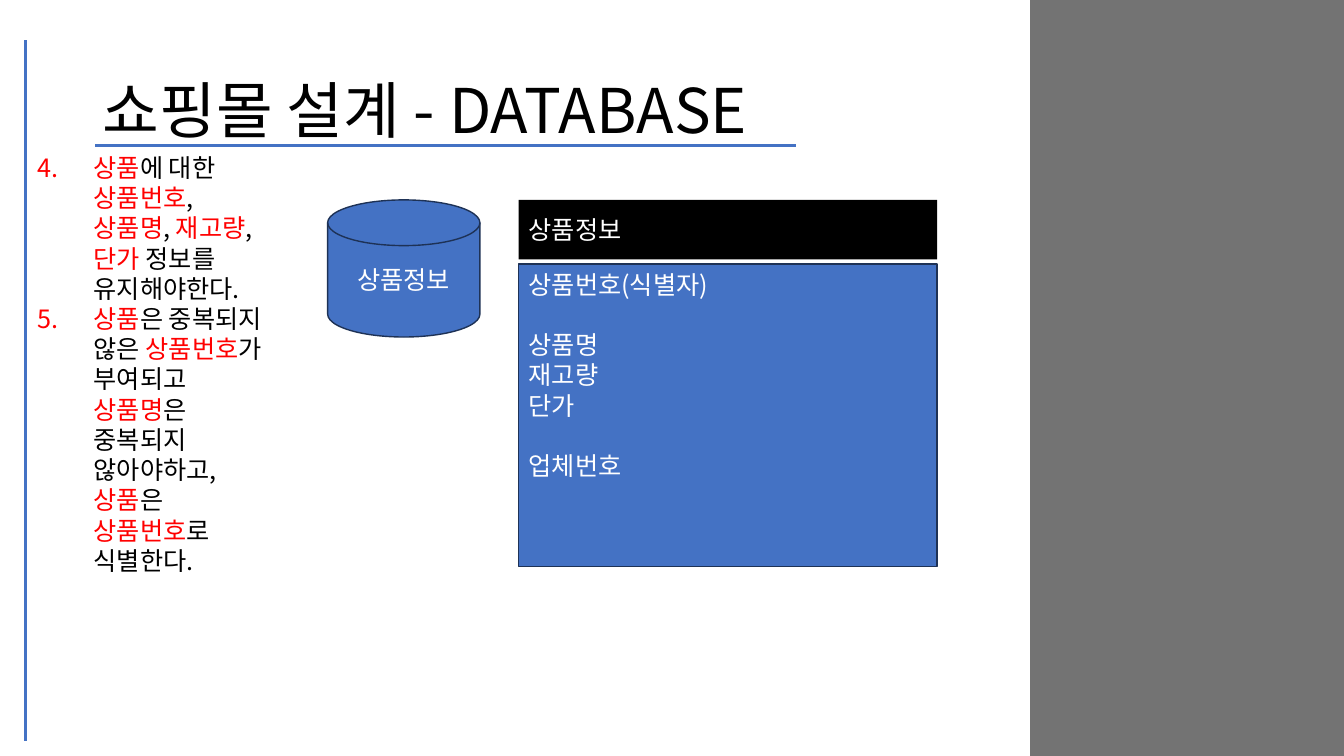
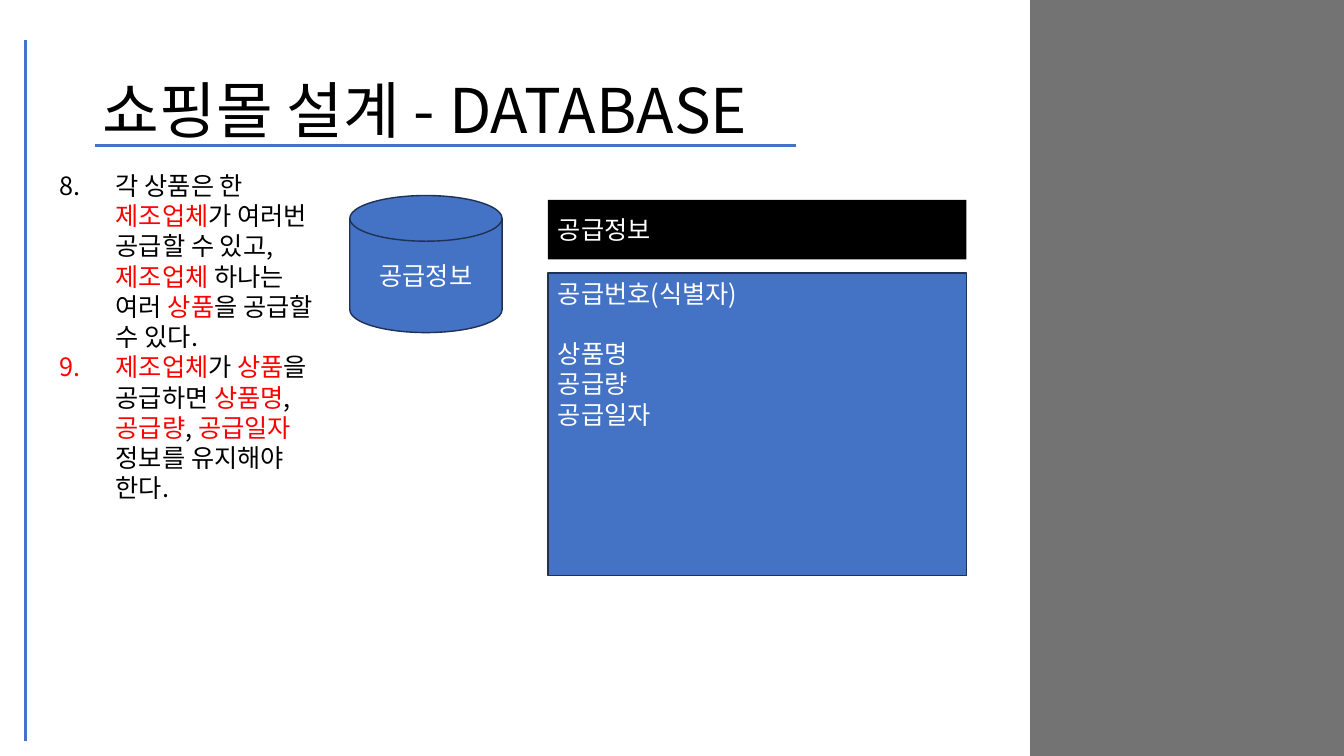
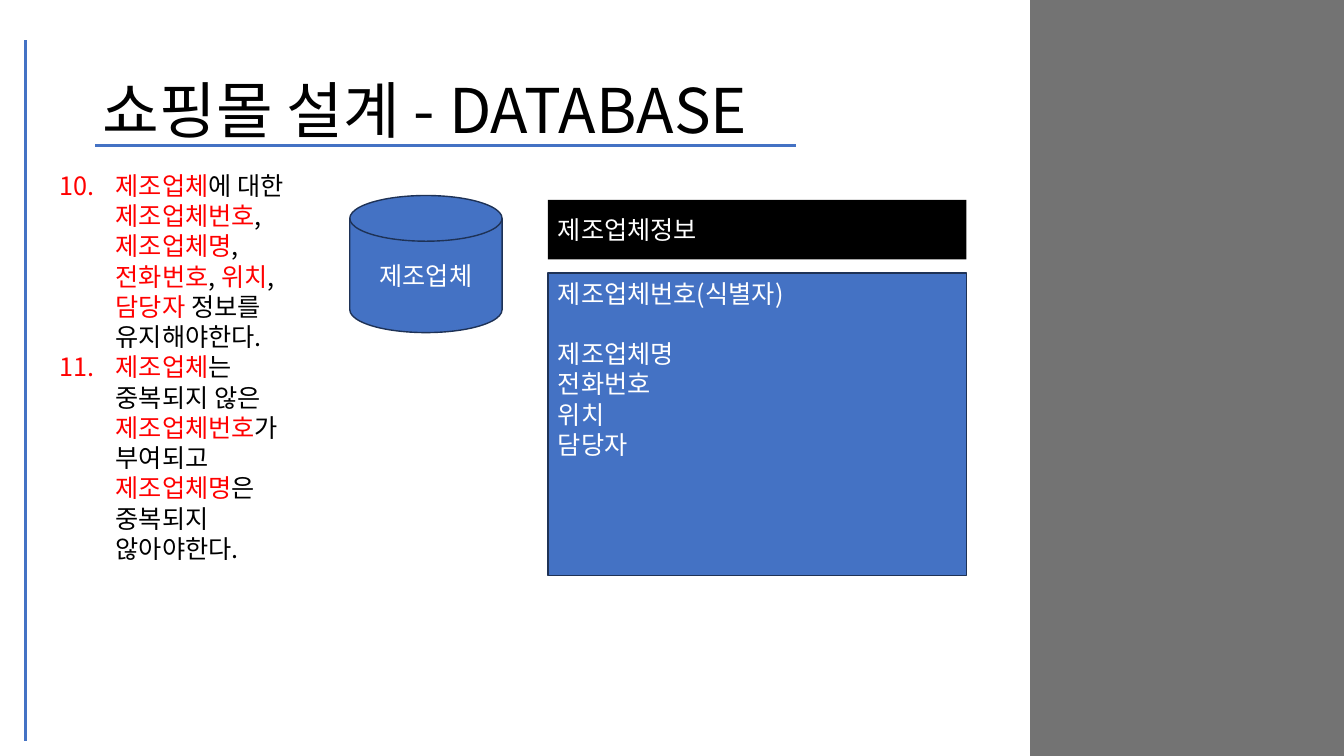
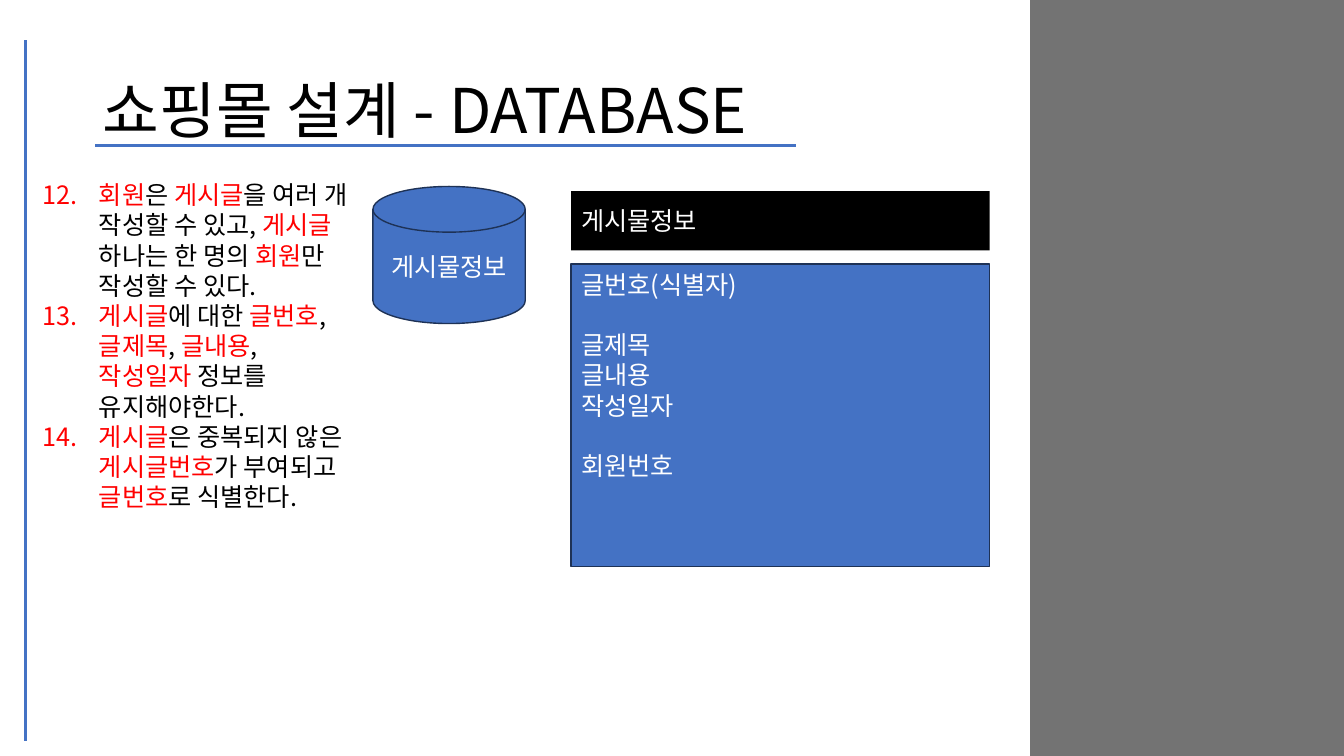
from pptx import Presentation
from pptx.dml.color import RGBColor
from pptx.enum.shapes import MSO_CONNECTOR, MSO_SHAPE
from pptx.enum.text import MSO_ANCHOR, MSO_AUTO_SIZE, PP_ALIGN
from pptx.oxml.ns import qn
from pptx.util import Inches, Pt
from lxml.etree import SubElement

# Shared look
COLORS = {"blue": "4472C4", "edge": "1E3256", "grey": "737373",
          "black": "000000", "white": "FFFFFF", "red": "FF0000"}
FONT = "Noto Sans CJK KR"
TITLE = "쇼핑몰 설계 - DATABASE"
PITCH = Pt(21.6)
INDENT = Inches(0.56)

# Places are percentages of the slide's width and height
BAND = (76.65, 0, 23.35, 100)
RULES = [(1.88, 5.33, 1.88, 98), (59.22, 19.2, 7.05, 19.2)]
TITLE_BOX = (6.9, 5.33, 86.25, 19.33)
DISK_SIZE = (11.33, 18.13)
HEADER_SIZE = (31.13, 7.87)
FIELDS_SIZE = (31.13, 40)

# One entry per slide; *stars* mark red words in the rules
SLIDES = [
    {"list_box": (2.03, 19.47, 18.38, 53.87), "start": 4,
     "rules": ["*상품*에 대한 *상품번호*, *상품명*, *재고량*, *단가* 정보를 유지해야한다.",
               "*상품*은 중복되지 않은 *상품번호*가 부여되고 *상품명*은 중복되지 않아야하고, "
               "*상품*은 *상품번호*로 식별한다."],
     "disk": (24.38, 26.45), "entity": "상품정보",
     "header": (38.6, 26.45), "table": "상품정보", "fields_top": 34.93,
     "groups": [["상품번호(식별자)"], ["상품명", "재고량", "단가"], ["업체번호"]]},
    {"list_box": (3.68, 21.87, 20.48, 45.73), "start": 8,
     "rules": ["각 상품은 한 *제조업체*가 여러번 공급할 수 있고, *제조업체* 하나는 여러 *상품*을 공급할 수 있다.",
               "*제조업체*가 *상품*을 공급하면 *상품명*, *공급량*, *공급일자* 정보를 유지해야 한다."],
     "disk": (26.03, 25.87), "entity": "공급정보",
     "header": (40.77, 26.45), "table": "공급정보", "fields_top": 36.13,
     "groups": [["공급번호(식별자)"], ["상품명", "공급량", "공급일자"]]},
    {"list_box": (3.68, 21.87, 20.48, 53.87), "start": 10,
     "rules": ["*제조업체*에 대한 *제조업체번호*, *제조업체명*, *전화번호*, *위치*, *담당자* 정보를 유지해야한다.",
               "*제조업체*는 중복되지 않은 *제조업체번호*가 부여되고 *제조업체명*은 중복되지 않아야한다."],
     "disk": (26.03, 25.87), "entity": "제조업체",
     "header": (40.77, 26.45), "table": "제조업체정보", "fields_top": 36.13,
     "groups": [["제조업체번호(식별자)"], ["제조업체명", "전화번호", "위치", "담당자"]]},
    {"list_box": (2.43, 23.07, 24.45, 53.87), "start": 12,
     "rules": ["*회원*은 *게시글*을 여러 개 작성할 수 있고, *게시글* 하나는 한 명의 *회원*만 작성할 수 있다.",
               "*게시글*에 대한 *글번호*, *글제목*, *글내용*, *작성일자* 정보를 유지해야한다.",
               "*게시글*은 중복되지 않은 *게시글번호*가 부여되고 *글번호*로 식별한다."],
     "disk": (27.75, 24.67), "entity": "게시물정보",
     "header": (42.5, 25.27), "table": "게시물정보", "fields_top": 34.93,
     "groups": [["글번호(식별자)"], ["글제목", "글내용", "작성일자"], ["회원번호"]]},
]

prs = Presentation()
prs.slide_width, prs.slide_height = Inches(13.33), Inches(7.5)


def place(box):
    """Turn percentages (x, y, x, y) into slide lengths."""
    sides = (prs.slide_width, prs.slide_height) * 2
    return [int(side * share / 100) for side, share in zip(sides, box)]


def write(p, text, color, size=18, spacing=PITCH, align=PP_ALIGN.LEFT):
    """Fill a paragraph, with *starred* words in red."""
    for key, value in {"alignment": align, "line_spacing": spacing}.items():
        setattr(p, key, value)
    for i, part in enumerate(text.split("*")):
        if part:
            r = p.add_run()
            r.text = part
            r.font.color.rgb = RGBColor.from_string(COLORS["red" if i % 2 else color])
            for key, value in {"size": Pt(size), "name": FONT}.items():
                setattr(r.font, key, value)


for data in SLIDES:
    s = prs.slides.add_slide(prs.slide_layouts[6])

    # Band, table parts and disk
    x, y = data["header"]
    parts = {}
    for name, kind, box, fill, edge in [
        ("band", MSO_SHAPE.RECTANGLE, BAND, "grey", None),
        ("fields", MSO_SHAPE.RECTANGLE, (x, data["fields_top"], *FIELDS_SIZE), "blue", "edge"),
        ("header", MSO_SHAPE.RECTANGLE, (x, y, *HEADER_SIZE), "black", None),
        ("disk", MSO_SHAPE.FLOWCHART_MAGNETIC_DISK, (*data["disk"], *DISK_SIZE), "blue", "edge"),
    ]:
        sp = parts[name] = s.shapes.add_shape(kind, *place(box))
        sp.shadow.inherit = False
        sp.fill.solid()
        sp.fill.fore_color.rgb = RGBColor.from_string(COLORS[fill])
        if edge:
            sp.line.color.rgb = RGBColor.from_string(COLORS[edge])
            sp.line.width = Pt(1)
        else:
            sp.line.fill.background()

    # Blue rules
    for ends in RULES:
        line = s.shapes.add_connector(MSO_CONNECTOR.STRAIGHT, *place(ends))
        line.line.color.rgb = RGBColor.from_string(COLORS["blue"])
        line.line.width = Pt(2.25)
        SubElement(line._element.spPr, qn("a:effectLst"))

    # Title
    tf = s.shapes.add_textbox(*place(TITLE_BOX)).text_frame
    for key, value in {"word_wrap": True, "vertical_anchor": MSO_ANCHOR.MIDDLE}.items():
        setattr(tf, key, value)
    write(tf.paragraphs[0], TITLE, "black", 44, 0.9)

    # Labels of the disk and the table header
    write(parts["disk"].text_frame.paragraphs[0], data["entity"], "white", align=PP_ALIGN.CENTER)
    write(parts["header"].text_frame.paragraphs[0], data["table"], "white")

    # Field names, with a line's gap between groups
    tf = parts["fields"].text_frame
    tf.vertical_anchor = MSO_ANCHOR.TOP
    p = tf.paragraphs[0]
    for g, group in enumerate(data["groups"]):
        for i, field in enumerate(group):
            if g or i:
                p = tf.add_paragraph()
            if g and not i:
                p.space_before = PITCH
            write(p, field, "white")

    # Numbered rules; punctuation stays inside the box
    tf = s.shapes.add_textbox(*place(data["list_box"])).text_frame
    for key, value in {"word_wrap": True, "auto_size": MSO_AUTO_SIZE.SHAPE_TO_FIT_TEXT}.items():
        setattr(tf, key, value)
    for i, rule in enumerate(data["rules"]):
        p = tf.add_paragraph() if i else tf.paragraphs[0]
        pPr = p._p.get_or_add_pPr()
        for key, value in {"marL": INDENT, "indent": -INDENT, "hangingPunct": 0}.items():
            pPr.set(key, str(value))
        SubElement(pPr, qn("a:buAutoNum"), type="arabicPeriod", startAt=str(data["start"]))
        write(p, rule, "black")

prs.save("out.pptx")
